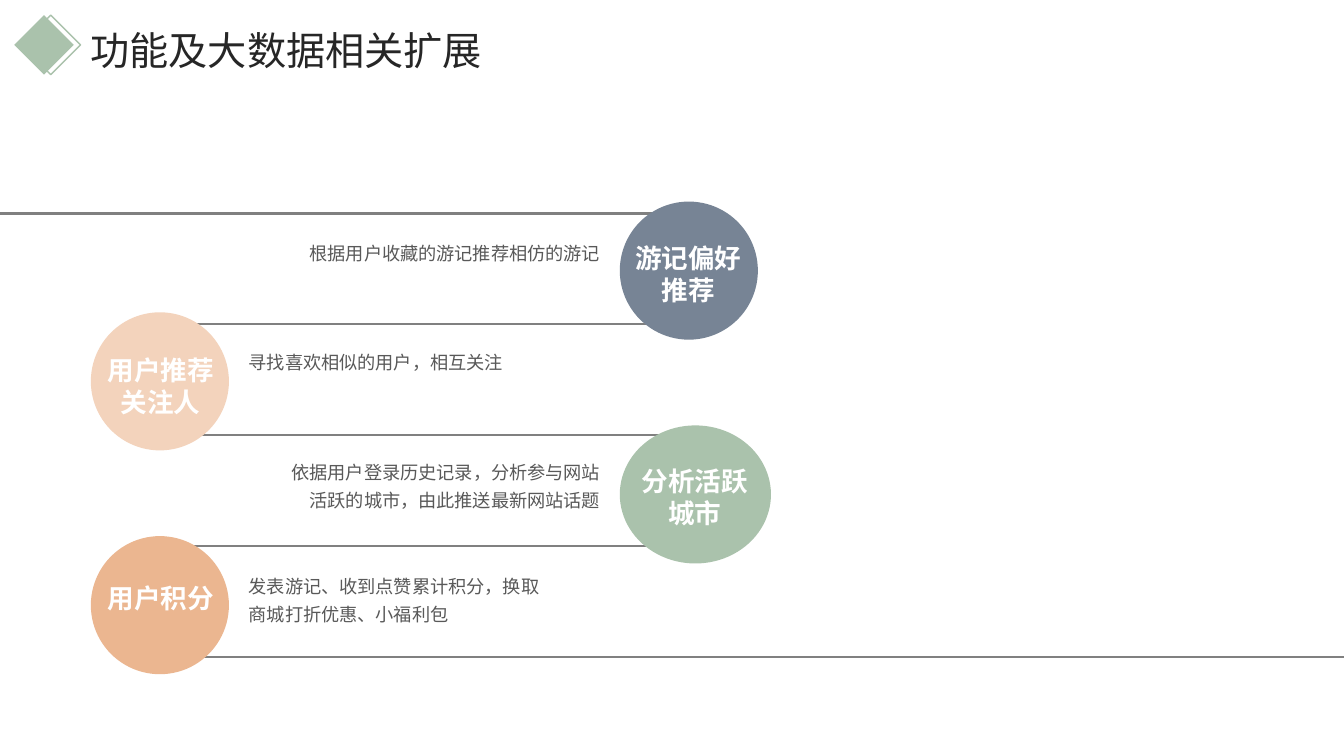
import pptx
import pptx.dml.color
import pptx.enum.shapes
import pptx.enum.text
import pptx.oxml
import pptx.util
from pptx.oxml.ns import qn

Cm = pptx.util.Cm
Pt = pptx.util.Pt
SHAPE = pptx.enum.shapes.MSO_SHAPE
ALIGN = pptx.enum.text.PP_ALIGN

FONT = "Noto Sans CJK SC"
SAGE = "AAC2AC"
DIAMETER = 3.48
LEFT_CIRCLE, RIGHT_CIRCLE = 2.29, 15.62
LINE_START, LINE_END = 4.06, 17.27
FIRST_LINE, LINE_STEP = 5.38, 2.794


def colour(value):
    return pptx.dml.color.RGBColor.from_string(value)


def write(frame, text, size, fill, bold=False, align=ALIGN.LEFT, spacing=None,
          inset=(0.25, 0.13), wrap=True):
    frame.word_wrap = wrap
    frame.auto_size = pptx.enum.text.MSO_AUTO_SIZE.NONE
    frame.vertical_anchor = pptx.enum.text.MSO_ANCHOR.TOP
    frame.margin_left = frame.margin_right = Cm(inset[0])
    frame.margin_top = frame.margin_bottom = Cm(inset[1])
    paragraph = frame.paragraphs[0]
    paragraph.alignment = align
    if spacing:
        paragraph.line_spacing = spacing
    run = paragraph.add_run()
    run.text = text
    run.font.name = FONT
    run.font.size = Pt(size)
    run.font.bold = bold
    run.font.color.rgb = colour(fill)
    east_asian = pptx.oxml.parse_xml(
        '<a:ea xmlns:a="http://schemas.openxmlformats.org/drawingml/2006/main"/>')
    east_asian.set("typeface", FONT)
    run.font._element.append(east_asian)


class ExtensionSlide:
    def __init__(self, deck):
        self.slide = deck.slides.add_slide(deck.slide_layouts[5])

    def title(self, text, left, top, width, height):
        heading = self.slide.shapes.title
        heading.left, heading.top = Cm(left), Cm(top)
        heading.width, heading.height = Cm(width), Cm(height)
        write(heading.text_frame, text, 28, "262626", wrap=False)

    def shape(self, kind, left, top, width, height, fill=None, line=None):
        figure = self.slide.shapes.add_shape(kind, Cm(left), Cm(top), Cm(width), Cm(height))
        figure.shadow.inherit = False
        if fill:
            figure.fill.solid()
            figure.fill.fore_color.rgb = colour(fill)
        else:
            figure.fill.background()
        if line:
            figure.line.color.rgb = colour(line)
            figure.line.width = Pt(1)
        else:
            figure.line.fill.background()

    def rule(self, start, end, y):
        divider = self.slide.shapes.add_connector(
            pptx.enum.shapes.MSO_CONNECTOR.STRAIGHT, Cm(start), Cm(y), Cm(end), Cm(y))
        divider.line.color.rgb = colour("808080")
        divider.line.width = Pt(1.5)
        divider._element.spPr.append(divider._element.makeelement(qn("a:effectLst"), {}))

    def text(self, text, left, top, width, height, **style):
        box = self.slide.shapes.add_textbox(Cm(left), Cm(top), Cm(width), Cm(height))
        write(box.text_frame, text, **style)

    def circle(self, left, top, width, fill):
        self.shape(SHAPE.OVAL, left, top, width, DIAMETER, fill=fill)

    def label(self, text, left, top, width, height):
        self.text(text, left, top, width, height,
                  size=19, fill="FFFFFF", bold=True, align=ALIGN.CENTER)

    def description(self, text, left, top, width, height, align):
        self.text(text, left, top, width, height, size=13, fill="595959",
                  align=align, spacing=1.3, inset=(0.33, 0.18))


def main():
    deck = pptx.Presentation()
    deck.slide_width, deck.slide_height = Cm(33.87), Cm(19.05)
    page = ExtensionSlide(deck)

    page.shape(SHAPE.DIAMOND, 0.36, 0.38, 1.5, 1.5, fill=SAGE)
    page.shape(SHAPE.DIAMOND, 0.53, 0.38, 1.5, 1.5, line=SAGE)
    page.title("功能及大数据相关扩展", 2.03, 0.53, 10.49, 1.45)

    spans = [(0, LINE_END)] + [(LINE_START, LINE_END)] * 3 + [(LINE_START, 33.87)]
    for index, (start, end) in enumerate(spans):
        page.rule(start, end, FIRST_LINE + index * LINE_STEP)

    features = [
        ((RIGHT_CIRCLE, 5.08, DIAMETER, "778495"),
         ("游记偏好推荐", 15.57, 5.97, 3.56, 1.88),
         ("根据用户收藏的游记推荐相仿的游记", 7.32, 5.77, 8.13, 1.07, ALIGN.RIGHT)),
        ((LEFT_CIRCLE, 7.87, DIAMETER, "F3D3BC"),
         ("用户推荐关注人", 2.31, 8.79, 3.48, 1.88),
         ("寻找喜欢相似的用户，相互关注", 5.94, 8.51, 8.13, 1.07, ALIGN.LEFT)),
        ((RIGHT_CIRCLE, 10.72, 3.81, SAGE),
         ("分析活跃城市", 15.77, 11.58, 3.48, 1.88),
         ("依据用户登录历史记录，分析参与网站活跃的城市，由此推送最新网站话题",
          6.8, 11.28, 8.65, 1.78, ALIGN.RIGHT)),
        ((LEFT_CIRCLE, 13.51, DIAMETER, "EBB690"),
         ("用户积分", 2.31, 14.53, 3.48, 1.07),
         ("发表游记、收到点赞累计积分，换取商城打折优惠、小福利包",
          5.94, 14.15, 8.13, 1.78, ALIGN.LEFT)),
    ]
    for circle, label, description in features:
        page.circle(*circle)
        page.label(*label)
        page.description(*description)

    deck.save("out.pptx")


if __name__ == "__main__":
    main()
